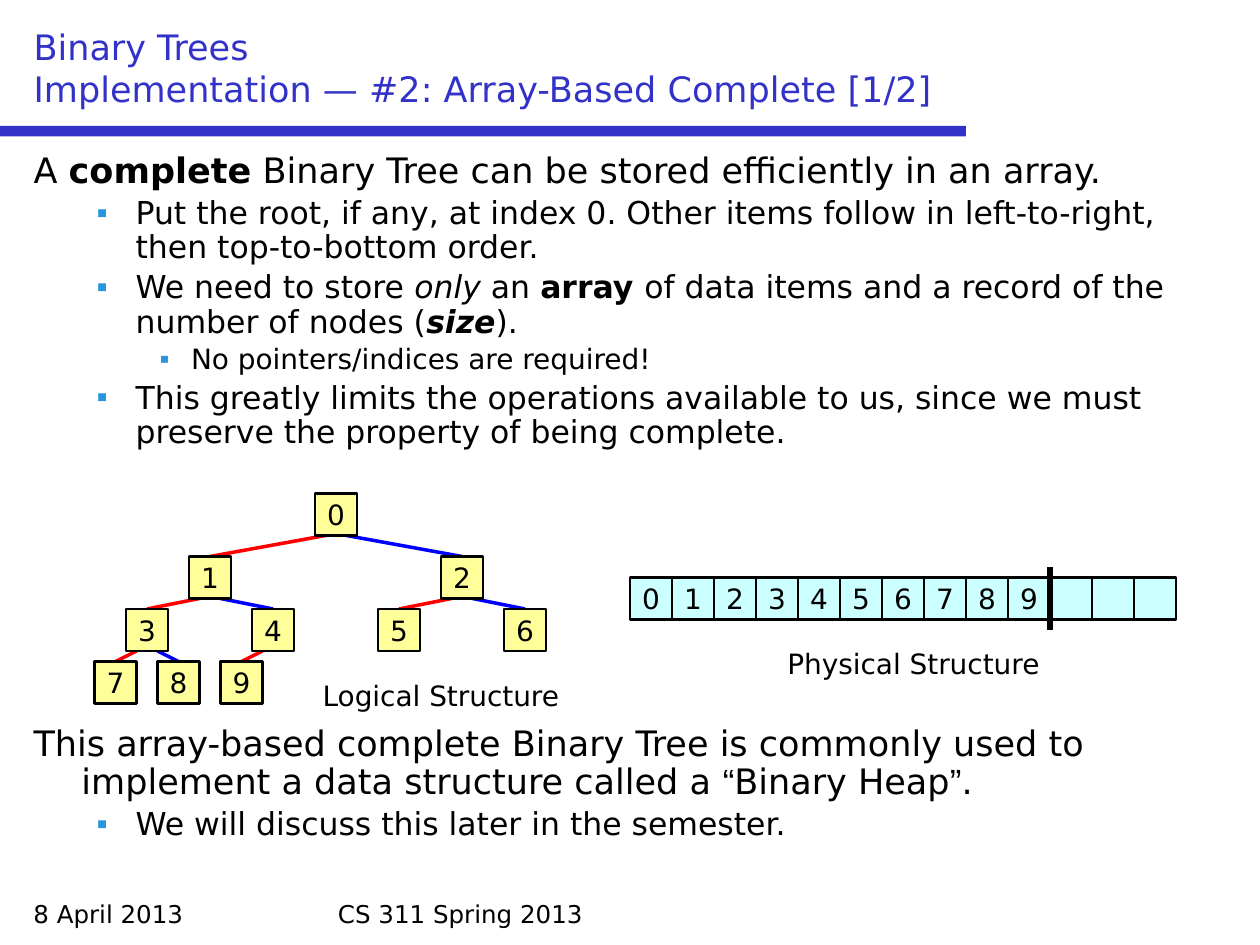
from lxml.etree import SubElement
from pptx import Presentation
from pptx.dml.color import RGBColor
from pptx.enum.shapes import MSO_CONNECTOR, MSO_SHAPE
from pptx.enum.text import MSO_ANCHOR, MSO_AUTO_SIZE, PP_ALIGN
from pptx.oxml.ns import qn
from pptx.util import Inches, Pt

COLORS = {
    "title": "3232C8", "text": "000000", "bullet": "2896DC", "node": "FFFF99",
    "cell": "CCFFFF", "left": "FF0000", "right": "0000FF",
}
FONT = "DejaVu Sans"
SIDE = 4
SIZES = [20, 18, 16]
INDENTS = [(0.38, -0.38), (0.81, -0.31), (1.25, -0.25)]
BOLD, ITALIC, QUOTE = "bold", "italic", "quote"
FIGURE_GAP = 158

POINTS = [
    (0, [("A ",), ("complete", BOLD),
         (" Binary Tree can be stored efficiently in an array.",)]),
    (1, [("Put the root, if any, at index 0. Other items follow in "
          "left-to-right, then top-to-bottom order.",)]),
    (1, [("We need to store ",), ("only", ITALIC), (" an ",), ("array ", BOLD),
         ("of data items and a record of the number of nodes (",),
         ("size", BOLD, ITALIC), (").",)]),
    (2, [("No pointers/indices are required!",)]),
    (1, [("This greatly limits the operations available to us, since we must "
          "preserve the property of being complete.",)]),
    (0, [("This array-based complete Binary Tree is commonly used to "
          "implement a data structure called a ",), ("“", QUOTE),
         ("Binary Heap",), ("”", QUOTE), (".",)]),
    (1, [("We will discuss this later in the semester.",)]),
]


def grid(*units):
    return [Inches(unit / 12) for unit in units]


def color(name):
    return RGBColor.from_string(COLORS[name])


def style(para, size, name="text"):
    para.font.name = FONT
    para.font.size = Pt(size)
    para.font.color.rgb = color(name)


def place(shape, left, top, width, height):
    shape.left, shape.top, shape.width, shape.height = grid(
        left, top, width, height)


def add_title(slide, text):
    title = slide.shapes.title
    place(title, 2, 2, 116, 9)
    frame = title.text_frame
    frame.auto_size = MSO_AUTO_SIZE.NONE
    frame.vertical_anchor = MSO_ANCHOR.BOTTOM
    frame.text = text
    para = frame.paragraphs[0]
    para.alignment = PP_ALIGN.LEFT
    style(para, 20, "title")


def set_bullet(para, level):
    props = para._p.get_or_add_pPr()
    left, hang = INDENTS[level]
    props.set("marL", str(Inches(left)))
    props.set("indent", str(Inches(hang)))
    if level == 0:
        SubElement(props, qn("a:buNone"))
        return
    tint = SubElement(props, qn("a:buClr"))
    SubElement(tint, qn("a:srgbClr")).set("val", COLORS["bullet"])
    SubElement(props, qn("a:buChar")).set("char", "▪")


def add_points(slide):
    body = slide.placeholders[1]
    place(body, 2, 14, 116, 70)
    frame = body.text_frame
    frame.auto_size = MSO_AUTO_SIZE.NONE
    for index, (level, parts) in enumerate(POINTS):
        para = frame.add_paragraph() if index else frame.paragraphs[0]
        size = SIZES[level]
        para.level = level
        para.line_spacing = 0.9
        before = FIGURE_GAP if level == 0 else size * 0.2
        para.space_before = Pt(before if index else 0)
        set_bullet(para, level)
        style(para, size)
        for text, *marks in parts:
            run = para.add_run()
            run.text = text
            if BOLD in marks:
                run.font.bold = True
            if ITALIC in marks:
                run.font.italic = True
            if QUOTE in marks:
                run.font.name = "Arial"


def add_label(slide, text, left, top, width, size, align=PP_ALIGN.LEFT):
    box = slide.shapes.add_textbox(*grid(left, top, width, 4))
    frame = box.text_frame
    frame.word_wrap = True
    frame.text = text
    para = frame.paragraphs[0]
    para.alignment = align
    style(para, size)


def add_bar(slide):
    bar = slide.shapes.add_shape(MSO_SHAPE.RECTANGLE, *grid(0, 12, 92, 1))
    bar.shadow.inherit = False
    bar.fill.solid()
    bar.fill.fore_color.rgb = color("title")
    bar.line.fill.background()


def add_box(slide, text, left, top, fill):
    box = slide.shapes.add_shape(
        MSO_SHAPE.RECTANGLE, *grid(left, top, SIDE, SIDE))
    box.shadow.inherit = False
    box.fill.solid()
    box.fill.fore_color.rgb = color(fill)
    box.line.color.rgb = color("text")
    box.line.width = Pt(1.25)
    if text:
        frame = box.text_frame
        frame.word_wrap = False
        frame.vertical_anchor = MSO_ANCHOR.MIDDLE
        frame.text = text
        para = frame.paragraphs[0]
        para.alignment = PP_ALIGN.CENTER
        style(para, 16)
    return box


def add_line(slide, start, end, name, width):
    line = slide.shapes.add_connector(
        MSO_CONNECTOR.STRAIGHT, *grid(*start, *end))
    line.line.color.rgb = color(name)
    line.line.width = Pt(width)
    SubElement(line._element.spPr, qn("a:effectLst"))
    return line


def add_tree(slide, count):
    tops = [47, 53, 58, 63]
    shifts = [0, 12, 6, 3]
    mids = [32]
    for index in range(count):
        depth = (index + 1).bit_length() - 1
        if index:
            side = -1 if index % 2 else 1
            parent = mids[(index - 1) // 2]
            mids.append(parent + side * shifts[depth])
        mid, top = mids[index], tops[depth]
        node = add_box(slide, str(index), mid - SIDE / 2, top, "node")
        if index:
            edge = add_line(slide, (parent + side, tops[depth - 1] + SIDE),
                            (mid, top), "left" if side < 0 else "right", 2)
            edge.end_connect(node, 0)
            slide.shapes._spTree.insert(2, edge._element)


def add_array(slide, used, total):
    left, top = 60, 55
    for index in range(total):
        text = str(index) if index < used else ""
        add_box(slide, text, left + SIDE * index, top, "cell")
    mark = left + SIDE * used
    add_line(slide, (mark, top - 1), (mark, top + SIDE + 1), "text", 3)


def main():
    deck = Presentation()
    deck.slide_width, deck.slide_height = Inches(10), Inches(7.5)
    slide = deck.slides.add_slide(deck.slide_layouts[1])
    add_bar(slide)
    add_title(slide, "Binary Trees\v"
              "Implementation — #2: Array-Based Complete [1/2]")
    add_points(slide)
    add_tree(slide, 10)
    add_array(slide, 10, 13)
    add_label(slide, "Logical Structure", 28, 64, 28, 16, PP_ALIGN.CENTER)
    add_label(slide, "Physical Structure", 73, 61, 28, 16, PP_ALIGN.CENTER)
    add_label(slide, "8 April 2013", 2, 85, 28, 14)
    add_label(slide, "CS 311 Spring 2013", 31, 85, 58, 14)
    deck.save("out.pptx")


if __name__ == "__main__":
    main()
